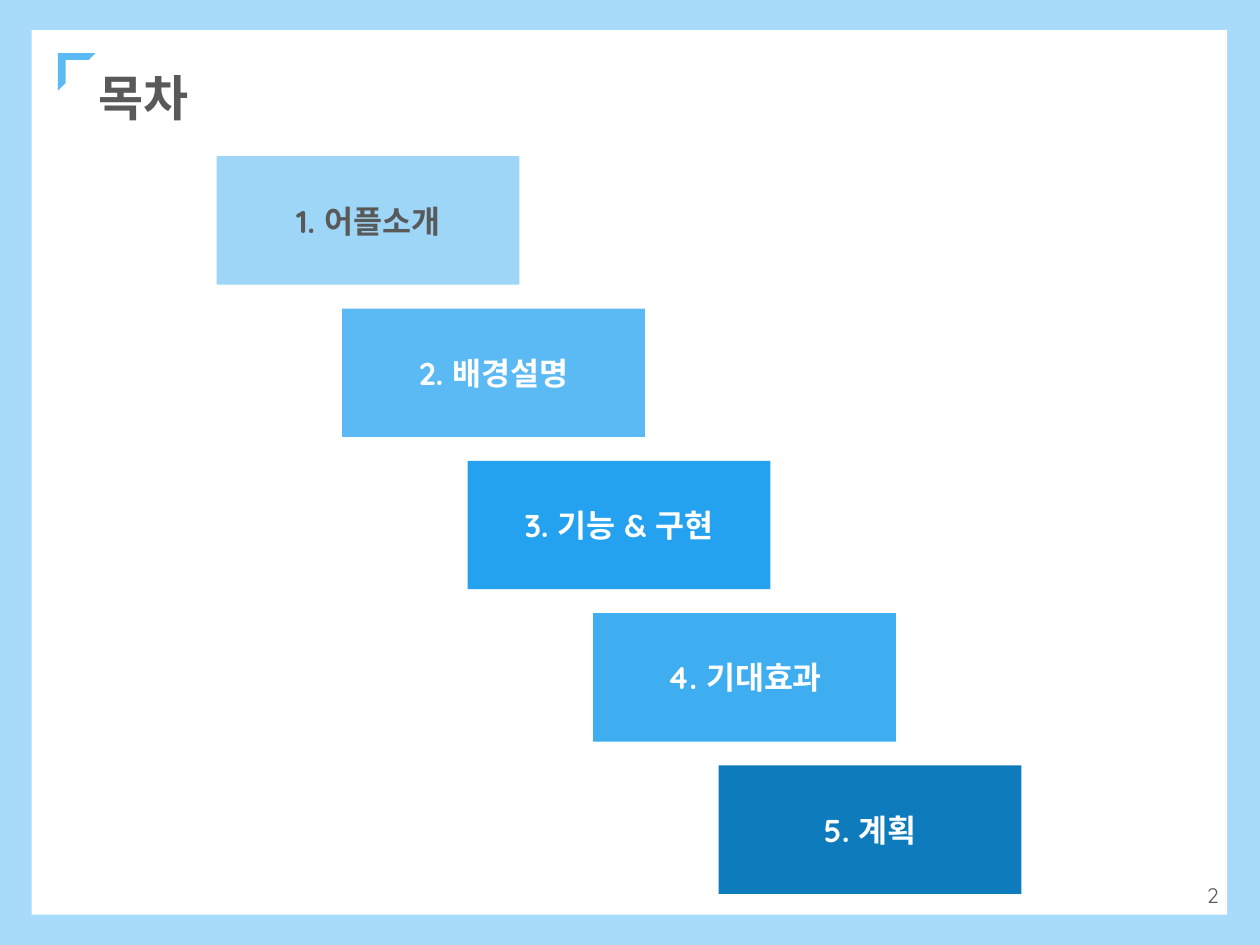
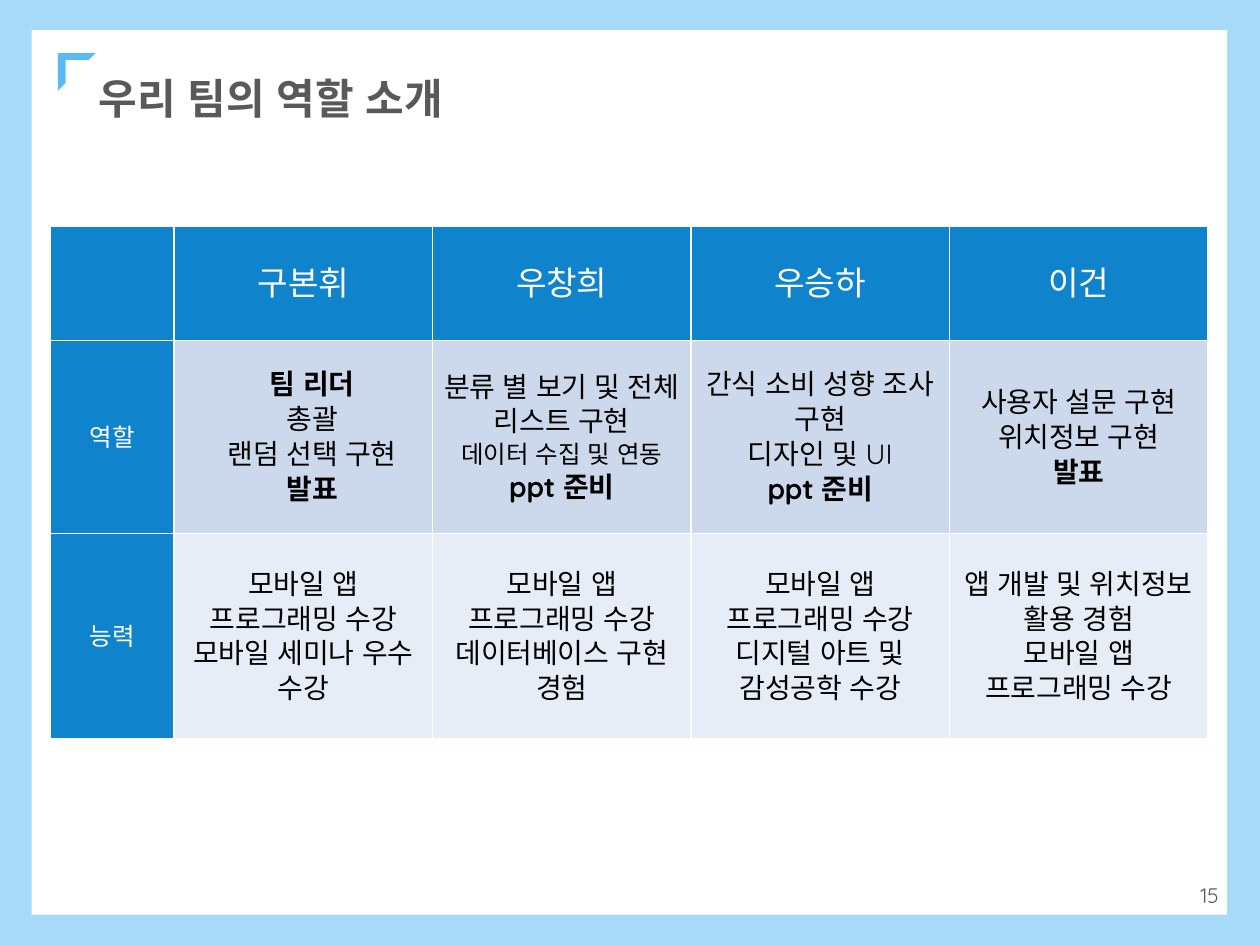
from dataclasses import dataclass

from pptx import Presentation, util as u
from pptx.dml.color import RGBColor
from pptx.enum import shapes, text
from pptx.oxml.ns import qn
from lxml import etree

FONT = "Quicksand"
WHITE, BLACK, GREY = "FFFFFF", "000000", "595959"
FRAME, ACCENT = "A8DAF9", "5BB9F3"
HEADER, ROLE_FILL, SKILL_FILL = "0F83CB", "CCD9EC", "E7EDF6"


@dataclass(frozen=True)
class Place:
    """Left, top, width and height in centimetres."""
    left: float
    top: float
    width: float
    height: float

    def lengths(self) -> list:
        return [u.Cm(n) for n in (self.left, self.top, self.width, self.height)]


@dataclass(frozen=True)
class Step:
    label: str
    fill: str
    color: str = WHITE


@dataclass(frozen=True)
class Line:
    words: str
    size: float = 16
    bold: bool = False
    color: str = BLACK


@dataclass(frozen=True)
class Member:
    name: str
    roles: tuple
    skills: tuple
    role_indent: float = 0


STEPS = [
    Step("1. 어플소개", "9ED6F8", GREY),
    Step("2. 배경설명", ACCENT),
    Step("3. 기능 & 구현", "25A2EF"),
    Step("4. 기대효과", "3FAEF1"),
    Step("5. 계획", "0E7BBD"),
]
APP_COURSE = Line("모바일 앱 프로그래밍 수강")
PRESENTER = Line("발표", bold=True)
SLIDE_MAKER = Line("ppt 준비", bold=True)
MEMBERS = [
    Member("구본휘",
           (Line("팀 리더", bold=True), Line("총괄"), Line("랜덤 선택 구현"), PRESENTER),
           (APP_COURSE, Line("모바일 세미나 우수 수강")), role_indent=0.36),
    Member("우창희",
           (Line("분류 별 보기 및 전체 리스트 구현"), Line("데이터 수집 및 연동", 14), SLIDE_MAKER),
           (APP_COURSE, Line("데이터베이스 구현 경험"))),
    Member("우승하",
           (Line("간식 소비 성향 조사 구현\n디자인 및 UI"), SLIDE_MAKER),
           (APP_COURSE, Line("디지털 아트 및 감성공학 수강"))),
    Member("이건",
           (Line("사용자 설문 구현"), Line("위치정보 구현"), PRESENTER),
           (Line("앱 개발 및 위치정보 활용 경험"), APP_COURSE)),
]


def rgb(color: str) -> RGBColor:
    return RGBColor.from_string(color)


def write(frame, lines, align) -> None:
    """Fill a text frame with one paragraph per line, centred vertically."""
    frame.word_wrap = True
    frame.vertical_anchor = text.MSO_ANCHOR.MIDDLE
    for i, line in enumerate(lines):
        para = frame.add_paragraph() if i else frame.paragraphs[0]
        para.text = line.words
        para.alignment = align
        for span in para.runs:
            font = span.font
            font.name, font.size, font.bold = FONT, u.Pt(line.size), line.bold
            font.color.rgb = rgb(line.color)
            etree.SubElement(font._element, qn("a:ea"), typeface=FONT)


def add_block(page, kind, place: Place, fill: str):
    box = page.shapes.add_shape(kind, *place.lengths())
    box.shadow.inherit = False
    box.fill.solid()
    box.fill.fore_color.rgb = rgb(fill)
    box.line.fill.background()
    return box


def add_page(deck, title: str, title_size: float, number: int):
    """Add a page with its frame, corner mark, title and page number."""
    page = deck.slides.add_slide(deck.slide_layouts[5])
    rectangle = shapes.MSO_SHAPE.RECTANGLE
    add_block(page, rectangle, Place(0, 0, 25.4, 19.05), FRAME)
    add_block(page, rectangle, Place(0.64, 0.61, 24.1, 17.83), WHITE)
    corner = add_block(page, shapes.MSO_SHAPE.HALF_FRAME,
                       Place(1.17, 1.07, 0.76, 0.76), ACCENT)
    corner.adjustments[0], corner.adjustments[1] = 0.18, 0.2

    heading = page.shapes.title
    page.shapes._spTree.append(heading._element)  # bring in front of the frame
    heading.left, heading.top, heading.width, heading.height = \
        Place(1.73, 0.97, 22.86, 1.98).lengths()
    heading.text_frame.auto_size = text.MSO_AUTO_SIZE.NONE
    write(heading.text_frame, [Line(title, title_size, True, GREY)], text.PP_ALIGN.LEFT)

    footer = page.shapes.add_textbox(*Place(18.9, 17.53, 5.92, 1.02).lengths())
    write(footer.text_frame, [Line(str(number), 12, color=GREY)], text.PP_ALIGN.RIGHT)
    return page


def add_contents(page) -> None:
    for i, step in enumerate(STEPS):
        place = Place(4.37 + 2.53 * i, 3.15 + 3.07 * i, 6.1, 2.59)
        box = add_block(page, shapes.MSO_SHAPE.RECTANGLE, place, step.fill)
        write(box.text_frame, [Line(step.label, 18, True, step.color)],
              text.PP_ALIGN.CENTER)


def add_borders(cell) -> None:
    properties = cell._tc.get_or_add_tcPr()
    for i, side in enumerate(("a:lnL", "a:lnR", "a:lnT", "a:lnB")):
        border = etree.Element(qn(side), w=str(u.Pt(1)))
        fill = etree.SubElement(border, qn("a:solidFill"))
        etree.SubElement(fill, qn("a:srgbClr"), val=WHITE)
        properties.insert(i, border)


def fill_cell(cell, lines, fill: str, indent: float = 0) -> None:
    cell.fill.solid()
    cell.fill.fore_color.rgb = rgb(fill)
    add_borders(cell)
    cell.margin_left = cell.margin_right = u.Cm(0.15)
    cell.margin_top = cell.margin_bottom = 0
    cell.vertical_anchor = text.MSO_ANCHOR.MIDDLE
    write(cell.text_frame, lines, text.PP_ALIGN.CENTER)
    if indent:
        for para in cell.text_frame.paragraphs:
            para._p.get_or_add_pPr().set("indent", str(u.Cm(indent)))


def add_team_table(page) -> None:
    widths = [2.49] + [5.21] * len(MEMBERS)
    heights = [2.29, 3.89, 4.14]
    place = Place(1.02, 4.57, sum(widths), sum(heights))
    table = page.shapes.add_table(len(heights), len(widths), *place.lengths()).table
    for column, width in zip(table.columns, widths):
        column.width = u.Cm(width)
    for row, height in zip(table.rows, heights):
        row.height = u.Cm(height)

    fill_cell(table.cell(0, 0), [], HEADER)
    for row, label in enumerate(("역할", "능력"), 1):
        fill_cell(table.cell(row, 0), [Line(label, 14, color=WHITE)], HEADER)
    for column, member in enumerate(MEMBERS, 1):
        fill_cell(table.cell(0, column), [Line(member.name, 19, color=WHITE)], HEADER)
        fill_cell(table.cell(1, column), member.roles, ROLE_FILL, member.role_indent)
        fill_cell(table.cell(2, column), member.skills, SKILL_FILL)


def main() -> None:
    deck = Presentation()
    deck.slide_width, deck.slide_height = u.Cm(25.4), u.Cm(19.05)
    add_contents(add_page(deck, "목차", 28, 2))
    add_team_table(add_page(deck, "우리 팀의 역할 소개", 24, 15))
    deck.save("out.pptx")


if __name__ == "__main__":
    main()
